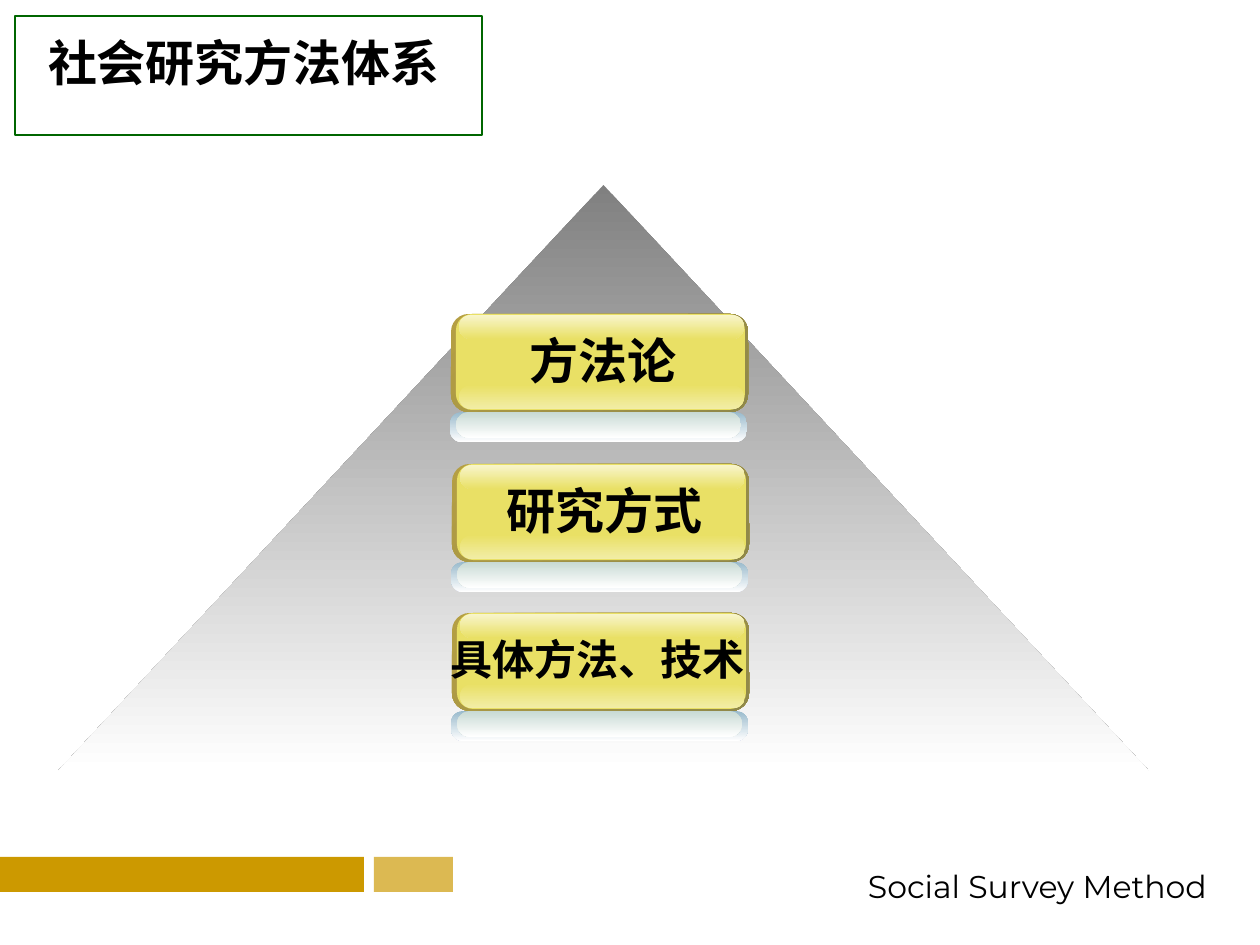
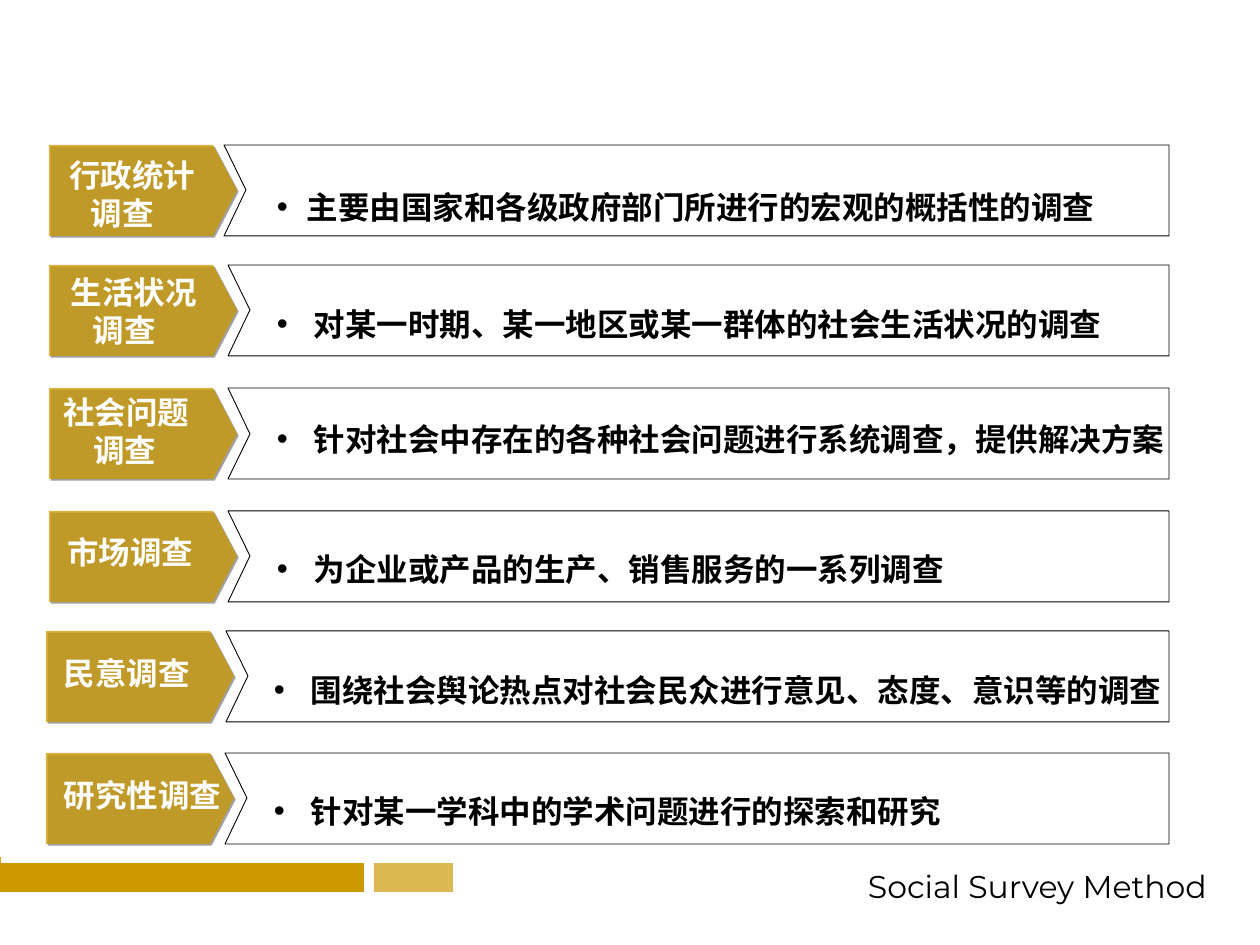
"""Two slides on the system of social research methods and the kinds of survey."""
from lxml import etree
from pptx import Presentation
from pptx.dml.color import RGBColor
from pptx.enum.lang import MSO_LANGUAGE_ID
from pptx.enum.shapes import MSO_SHAPE
from pptx.enum.text import MSO_ANCHOR, PP_ALIGN
from pptx.oxml.ns import qn
from pptx.util import Emu, Pt

RECT = MSO_SHAPE.RECTANGLE
ROUND = MSO_SHAPE.ROUNDED_RECTANGLE
TRIANGLE = MSO_SHAPE.ISOSCELES_TRIANGLE
MIDDLE = MSO_ANCHOR.MIDDLE
LEFT, CENTER = PP_ALIGN.LEFT, PP_ALIGN.CENTER
CHINESE = MSO_LANGUAGE_ID.SIMPLIFIED_CHINESE

PX = 914400 / 126
GOLD, BLACK, WHITE, GREEN, GREY = "CC9900", "000000", "FFFFFF", "006600", "808080"
YELLOW = "E9E065"

FOOTER = "Social Survey Method"
TITLE = "社会研究方法体系"

# label, button corner, text left, text size
LEVELS = [
    ("方法论", (451, 314), 517, 28),
    ("研究方式", (452, 464), 494, 28),
    ("具体方法、技术", (452, 613), 438, 24),
]
# offset and size, corner radius ratio, fill, gradient direction
BUTTON_LAYERS = [
    ((0, 0, 297, 98), 0.18, ("B59F43", "8F8849"), 45),
    ((5, 0, 289, 96), 0.17, YELLOW, 0),
    ((8, 71, 285, 24), 0.5, (YELLOW, "F2EDA6"), 90),
    ((8, 1, 285, 24), 0.5, ("F8F5CC", YELLOW), 90),
    ((-1, 98, 297, 30), 0.4, ("99BACC", WHITE), 90),
    ((5, 98, 285, 26), 0.5, ("C8DAD4", WHITE), 90),
]

# label lines, second-line indent, label left, label middle, note,
# note middle, note indent, note font, row top, tag left, frame left
SURVEYS = [
    (["行政统计", "调查"], 22, 69, 194, "主要由国家和各级政府部门所进行的宏观的概括性的调查",
     207, 30, "Arial", 145, 49, 224),
    (["生活状况", "调查"], 22, 71, 311, "对某一时期、某一地区或某一群体的社会生活状况的调查",
     324, 37, "Times New Roman", 265, 49, 228),
    (["社会问题", "调查"], 30, 63, 431, "针对社会中存在的各种社会问题进行系统调查，提供解决方案",
     439, 37, "Times New Roman", 388, 49, 228),
    (["市场调查"], 0, 67, 552, "为企业或产品的生产、销售服务的一系列调查",
     569, 37, "Times New Roman", 511, 49, 228),
    (["民意调查"], 0, 64, 673, "围绕社会舆论热点对社会民众进行意见、态度、意识等的调查",
     690, 37, "Times New Roman", 631, 46, 226),
    (["研究性调查"], 0, 64, 795, "针对某一学科中的学术问题进行的探索和研究",
     811, 37, "Times New Roman", 753, 46, 225),
]
ROW_HEIGHT, FRAME_RIGHT, NOTCH = 91, 1169, 22
TAG_SHOULDER, TAG_TIP = 164, 188


def px(value):
    return Emu(round(value * PX))


def color(hex_string):
    return RGBColor.from_string(hex_string)


def paint(shape, fill=None, angle=0, alpha=None, line=None, line_width=0.5):
    shape.shadow.inherit = False
    if fill is None:
        shape.fill.background()
    elif isinstance(fill, tuple):
        shape.fill.gradient()
        shape.fill.gradient_angle = 360 - angle
        for stop, tone in zip(shape.fill.gradient_stops, fill):
            stop.color.rgb = color(tone)
    else:
        shape.fill.solid()
        shape.fill.fore_color.rgb = color(fill)
        if alpha:
            tone = shape.fill._xPr.find(qn("a:solidFill"))[0]
            etree.SubElement(tone, qn("a:alpha"), val=str(alpha * 1000))
    if line:
        shape.line.color.rgb = color(line)
        shape.line.width = Pt(line_width)
    else:
        shape.line.fill.background()
    return shape


def add_block(slide, preset, box, radius=None, **look):
    shape = slide.shapes.add_shape(preset, *map(px, box))
    if radius is not None:
        shape.adjustments[0] = radius
    return paint(shape, **look)


def add_outline(slide, points, **look):
    builder = slide.shapes.build_freeform(*points[0], scale=PX)
    builder.add_line_segments(points[1:], close=True)
    return paint(builder.convert_to_shape(), **look)


def add_text(slide, lines, box, size=18, font="Arial", tone=BLACK, bold=True,
             align=LEFT, inset=0, wrap=True, indents=(0,), bullet=None,
             spacing=None, language=CHINESE):
    frame = slide.shapes.add_textbox(*map(px, box)).text_frame
    frame.word_wrap = wrap
    frame.vertical_anchor = MIDDLE
    frame.margin_left = frame.margin_right = px(inset)
    frame.margin_top = frame.margin_bottom = 0
    for index, (line, indent) in enumerate(zip(lines, indents)):
        paragraph = frame.paragraphs[0] if index == 0 else frame.add_paragraph()
        paragraph.alignment = align
        if spacing:
            paragraph.line_spacing = Pt(spacing)
        properties = paragraph._p.get_or_add_pPr()
        properties.set("marL", str(px(indent)))
        properties.set("indent", str(-px(indent) if bullet else 0))
        if bullet:
            etree.SubElement(properties, qn("a:buFont"), typeface="Arial")
            etree.SubElement(properties, qn("a:buChar"), char=bullet)
        run = paragraph.add_run()
        run.text = line
        run.font.size = Pt(size)
        run.font.name = font
        run.font.bold = bold
        run.font.color.rgb = color(tone)
        run.font.language_id = language


def add_drop_shadow(shape):
    effects = shape._element.spPr.find(qn("a:effectLst"))
    shadow = etree.SubElement(effects, qn("a:outerShdw"), blurRad="0",
                              dist=str(Pt(1.4)), dir="2700000", algn="ctr")
    etree.SubElement(shadow, qn("a:srgbClr"), val=GREY)


def new_slide(deck):
    slide = deck.slides.add_slide(deck.slide_layouts[6])
    add_block(slide, RECT, (0, 857, 364, 35), fill=GOLD)
    add_block(slide, RECT, (374, 857, 79, 35), fill=GOLD, alpha=68)
    add_text(slide, [FOOTER], (828, 865, 419, 42), font="Montserrat", bold=False,
             align=CENTER, wrap=False, language=MSO_LANGUAGE_ID.ENGLISH_US)
    return slide


def build_pyramid(deck):
    slide = new_slide(deck)
    add_block(slide, TRIANGLE, (58, 185, 1091, 586), fill=(GREY, WHITE), angle=90)
    for label, (left, top), text_left, size in LEVELS:
        for (dx, dy, width, height), radius, fill, angle in BUTTON_LAYERS:
            add_block(slide, ROUND, (left + dx, top + dy, width, height),
                      radius=radius, fill=fill, angle=angle)
        add_text(slide, [label], (text_left, top + 10, 354, 72), size=size,
                 font="DejaVu Sans", inset=13)
    add_text(slide, [TITLE], (35, 26, 635, 72), size=28, inset=13)
    add_block(slide, RECT, (15, 16, 467, 119), line=GREEN, line_width=0.75)


def build_surveys(deck):
    slide = new_slide(deck)
    add_block(slide, RECT, (1, 794, 466, 69), fill=WHITE)
    for (label, label_indent, label_left, label_middle, note, note_middle,
         note_indent, note_font, top, tag_left, frame_left) in SURVEYS:
        middle, bottom = top + ROW_HEIGHT / 2, top + ROW_HEIGHT
        shoulder = tag_left + TAG_SHOULDER
        tag = add_outline(slide, [
            (tag_left, top), (shoulder, top), (tag_left + TAG_TIP, middle),
            (shoulder, bottom), (tag_left, bottom)], fill=GOLD, alpha=74)
        add_drop_shadow(tag)
        add_outline(slide, [
            (FRAME_RIGHT, top), (frame_left, top), (frame_left + NOTCH, middle),
            (frame_left, bottom), (FRAME_RIGHT, bottom)], line=BLACK)
        add_text(slide, label, (label_left, label_middle - 38, 180, 76), tone=WHITE,
                 indents=(0, label_indent), spacing=21.7)
        add_text(slide, [note], (tag_left + 228, note_middle - 27, 960, 54),
                 font=note_font, indents=(note_indent,), bullet="•")


def main():
    deck = Presentation()
    deck.slide_width, deck.slide_height = px(1260), px(945)
    build_pyramid(deck)
    build_surveys(deck)
    deck.save("out.pptx")


if __name__ == "__main__":
    main()
